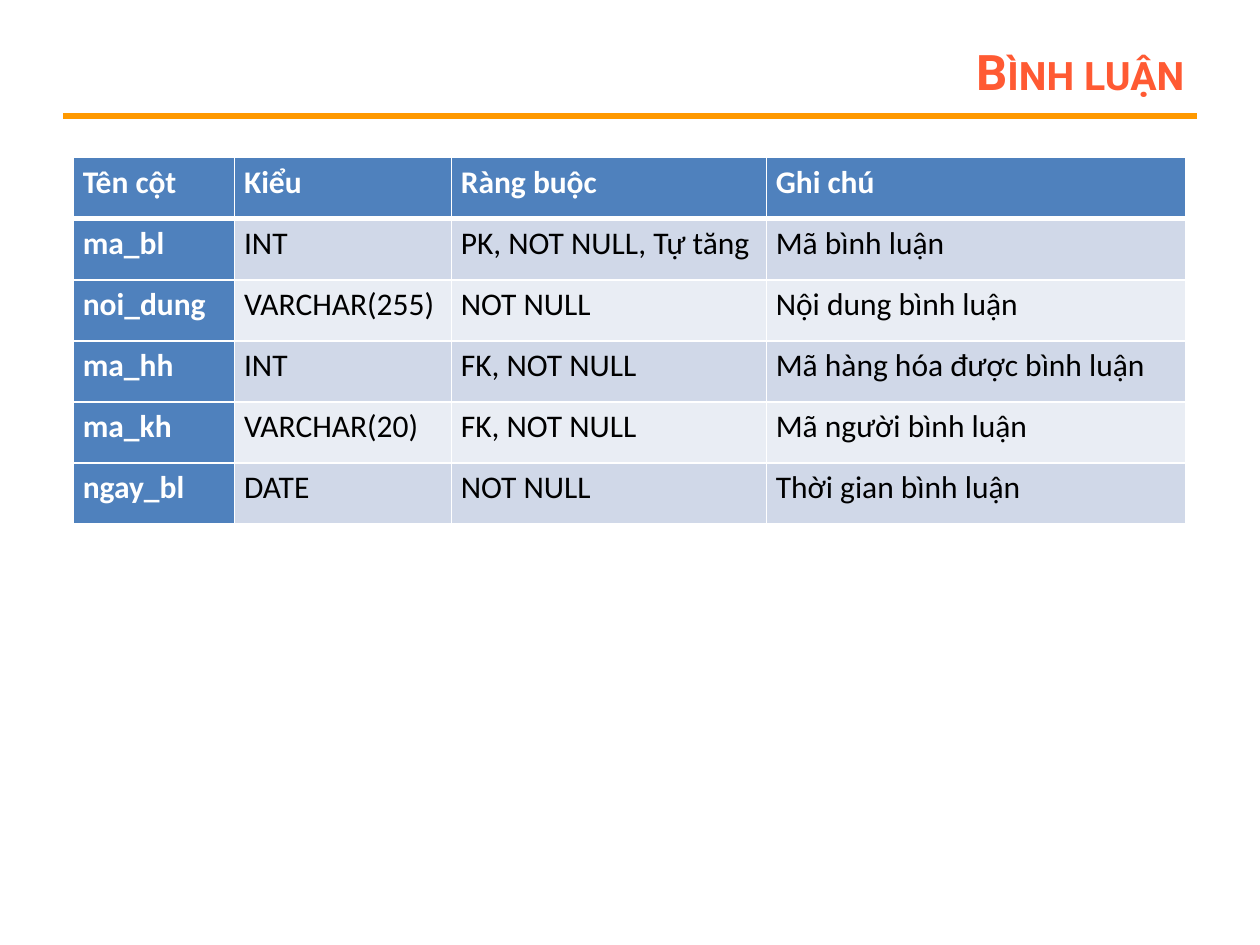
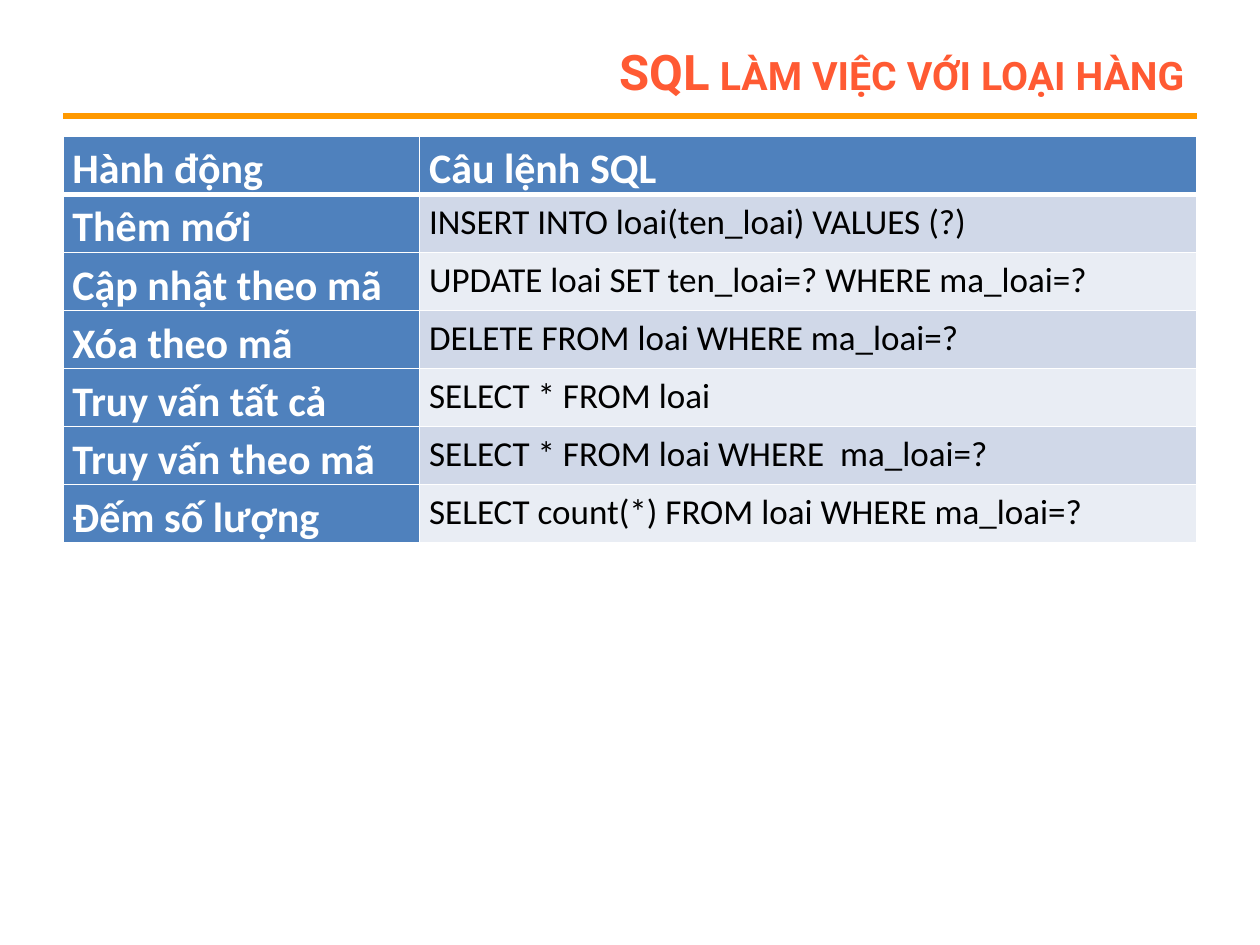
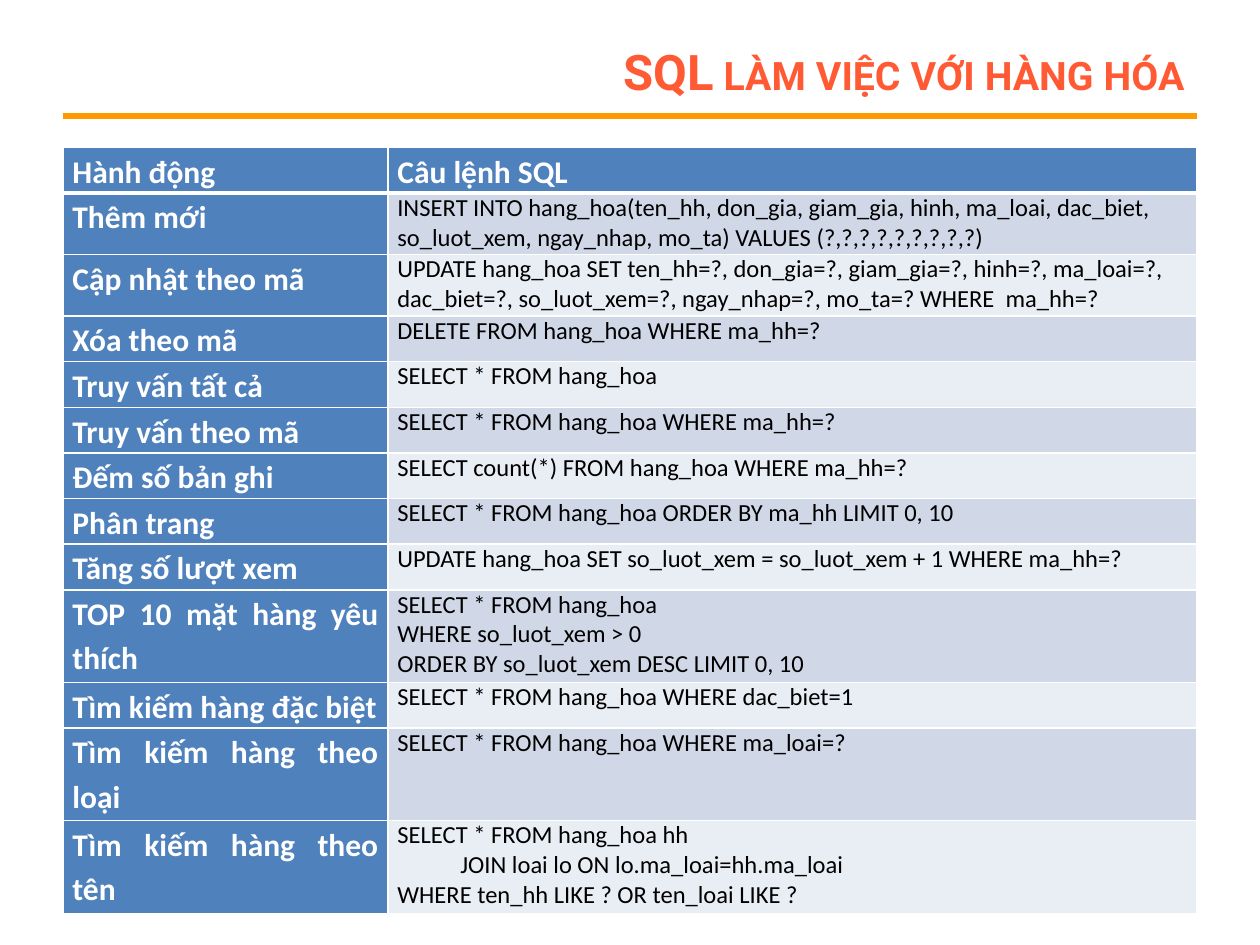
"""Build three slides that describe tables and SQL statements of a shop."""
from dataclasses import dataclass

from lxml import etree
from pptx import Presentation
from pptx.dml.color import RGBColor
from pptx.enum.shapes import MSO_CONNECTOR
from pptx.enum.text import MSO_ANCHOR, PP_ALIGN
from pptx.oxml.ns import qn
from pptx.util import Cm, Pt

STRAIGHT = MSO_CONNECTOR.STRAIGHT
MIDDLE = MSO_ANCHOR.MIDDLE
LEFT, RIGHT, JUSTIFY = PP_ALIGN.LEFT, PP_ALIGN.RIGHT, PP_ALIGN.JUSTIFY

WHITE, BLACK = "FFFFFF", "000000"
TITLE_COLOR, RULE_COLOR = "FF5A33", "FF9900"
HEAD_FILL = "4F81BD"
BAND_FILLS = ("D0D8E8", "E9EDF4")
TITLE_FONT, BODY_FONT = "Roboto", "Calibri"
MARGIN, SLIDE_WIDTH, SLIDE_HEIGHT = 1.27, 25.4, 19.05


@dataclass(frozen=True)
class Grid:
    """A titled table: position, column widths and row heights in cm."""

    title: str
    left: float
    top: float
    widths: tuple[float, ...]
    heights: tuple[float, ...]
    head_size: int
    body_size: int
    rows: tuple[tuple[str, ...], ...]
    body_align: PP_ALIGN = LEFT
    body_spaced: bool = True


GRIDS = (
    Grid(
        "Bình luận", 1.48, 3.18, (3.25, 4.37, 6.35, 8.46), (1.23,) * 6, 18, 18,
        (
            ("Tên cột", "Kiểu", "Ràng buộc", "Ghi chú"),
            ("ma_bl", "INT", "PK, NOT NULL, Tự tăng", "Mã bình luận"),
            ("noi_dung", "VARCHAR(255)", "NOT NULL", "Nội dung bình luận"),
            ("ma_hh", "INT", "FK, NOT NULL", "Mã hàng hóa được bình luận"),
            ("ma_kh", "VARCHAR(20)", "FK, NOT NULL", "Mã người bình luận"),
            ("ngay_bl", "DATE", "NOT NULL", "Thời gian bình luận"),
        ),
        body_align=JUSTIFY,
    ),
    Grid(
        "SQL làm việc với loại hàng", MARGIN, 2.75, (7.19, 15.67), (1.17,) * 7, 24, 20,
        (
            ("Hành động", "Câu lệnh SQL"),
            ("Thêm mới", "INSERT INTO loai(ten_loai) VALUES (?)"),
            ("Cập nhật theo mã", "UPDATE loai SET ten_loai=? WHERE ma_loai=?"),
            ("Xóa theo mã", "DELETE FROM loai WHERE ma_loai=?"),
            ("Truy vấn tất cả", "SELECT * FROM loai"),
            ("Truy vấn theo mã", "SELECT * FROM loai WHERE  ma_loai=?"),
            ("Đếm số lượng", "SELECT count(*) FROM loai WHERE ma_loai=?"),
        ),
    ),
    Grid(
        "SQL làm việc với hàng hóa", MARGIN, 2.97, (6.55, 16.31),
        (0.92, 1.24, 1.24, *(0.92,) * 6, 1.87, 0.92, 1.86, 1.87), 18, 14,
        (
            ("Hành động", "Câu lệnh SQL"),
            ("Thêm mới",
             "INSERT INTO hang_hoa(ten_hh, don_gia, giam_gia, hinh, ma_loai, dac_biet, "
             "so_luot_xem, ngay_nhap, mo_ta) VALUES (?,?,?,?,?,?,?,?,?)"),
            ("Cập nhật theo mã",
             "UPDATE hang_hoa SET ten_hh=?, don_gia=?, giam_gia=?, hinh=?, ma_loai=?, "
             "dac_biet=?, so_luot_xem=?, ngay_nhap=?, mo_ta=? WHERE  ma_hh=?"),
            ("Xóa theo mã", "DELETE FROM hang_hoa WHERE ma_hh=?"),
            ("Truy vấn tất cả", "SELECT * FROM hang_hoa"),
            ("Truy vấn theo mã", "SELECT * FROM hang_hoa WHERE ma_hh=?"),
            ("Đếm số bản ghi", "SELECT count(*) FROM hang_hoa WHERE ma_hh=?"),
            ("Phân trang", "SELECT * FROM hang_hoa ORDER BY ma_hh LIMIT 0, 10"),
            ("Tăng số lượt xem",
             "UPDATE hang_hoa SET so_luot_xem = so_luot_xem + 1 WHERE ma_hh=?"),
            ("TOP 10 mặt hàng yêu thích",
             "SELECT * FROM hang_hoa\nWHERE so_luot_xem > 0\n"
             "ORDER BY so_luot_xem DESC LIMIT 0, 10"),
            ("Tìm kiếm hàng đặc biệt", "SELECT * FROM hang_hoa WHERE dac_biet=1"),
            ("Tìm kiếm hàng theo loại", "SELECT * FROM hang_hoa WHERE ma_loai=?"),
            ("Tìm kiếm hàng theo tên",
             "SELECT * FROM hang_hoa hh\n\tJOIN loai lo ON lo.ma_loai=hh.ma_loai\n"
             "WHERE ten_hh LIKE ? OR ten_loai LIKE ?"),
        ),
        body_spaced=False,
    ),
)


def rgb(value: str) -> RGBColor:
    """Turn a hex string into a colour."""
    return RGBColor.from_string(value)


def add_span(para, text: str, font: str, size: int, color: str, bold: bool):
    """Append one styled run to a paragraph."""
    span = para.add_run()
    span.text = text
    span.font.name = font
    span.font.size = Pt(size)
    span.font.bold = bold
    span.font.color.rgb = rgb(color)
    return span


def add_heading(page, title: str) -> None:
    """Draw the rule and the small-caps title above it."""
    rule = page.shapes.add_connector(
        STRAIGHT, Cm(MARGIN), Cm(2.34), Cm(SLIDE_WIDTH - MARGIN), Cm(2.34))
    rule.line.color.rgb = rgb(RULE_COLOR)
    rule.line.width = Pt(3)
    etree.SubElement(rule._element.spPr, qn("a:effectLst"))
    box = page.shapes.add_textbox(Cm(5.71), Cm(0.76), Cm(18.42), Cm(1.35))
    box.text_frame.word_wrap = True
    box.text_frame.vertical_anchor = MIDDLE
    para = box.text_frame.paragraphs[0]
    para.alignment = RIGHT
    span = add_span(para, title, TITLE_FONT, 28, TITLE_COLOR, True)
    span.font._element.set("cap", "small")


def add_borders(cell, row: int) -> None:
    """Give a cell white edges, thicker below the header row."""
    thick = {(0, "B"), (1, "T")}
    for side in "LRTB":
        width = Pt(3 if (row, side) in thick else 1)
        edge = etree.SubElement(
            cell._tc.get_or_add_tcPr(), qn(f"a:ln{side}"), w=str(width))
        fill = etree.SubElement(edge, qn("a:solidFill"))
        etree.SubElement(fill, qn("a:srgbClr"), val=WHITE)


def fill_cell(cell, grid: Grid, row: int, column: int) -> None:
    """Style one cell and write its lines, a leading tab marking an indent."""
    is_head = row == 0 or column == 0
    add_borders(cell, row)
    cell.fill.solid()
    cell.fill.fore_color.rgb = rgb(HEAD_FILL if is_head else BAND_FILLS[(row - 1) % 2])
    cell.margin_left = cell.margin_right = Cm(0.19)
    cell.margin_top = cell.margin_bottom = 0
    for index, line in enumerate(grid.rows[row][column].split("\n")):
        frame = cell.text_frame
        para = frame.add_paragraph() if index else frame.paragraphs[0]
        para.alignment = JUSTIFY if column == 0 else grid.body_align
        if is_head or grid.body_spaced:
            para.line_spacing = 1.15
            para.space_before = para.space_after = Pt(6)
        if line.startswith("\t"):
            para._p.get_or_add_pPr().set("marL", str(Cm(MARGIN)))
        add_span(para, line.strip(), BODY_FONT,
                 grid.head_size if is_head else grid.body_size,
                 WHITE if is_head else BLACK, is_head)


def add_grid(page, grid: Grid) -> None:
    """Draw the table of one slide."""
    table = page.shapes.add_table(
        len(grid.heights), len(grid.widths), Cm(grid.left), Cm(grid.top),
        Cm(sum(grid.widths)), Cm(sum(grid.heights))).table
    table.first_col = True
    for column, width in enumerate(grid.widths):
        table.columns[column].width = Cm(width)
    for row, height in enumerate(grid.heights):
        table.rows[row].height = Cm(height)
        for column in range(len(grid.widths)):
            fill_cell(table.cell(row, column), grid, row, column)


def build() -> None:
    """Create the deck and save it."""
    deck = Presentation()
    deck.slide_width, deck.slide_height = Cm(SLIDE_WIDTH), Cm(SLIDE_HEIGHT)
    for grid in GRIDS:
        page = deck.slides.add_slide(deck.slide_layouts[6])
        add_heading(page, grid.title)
        add_grid(page, grid)
    deck.save("out.pptx")


build()
